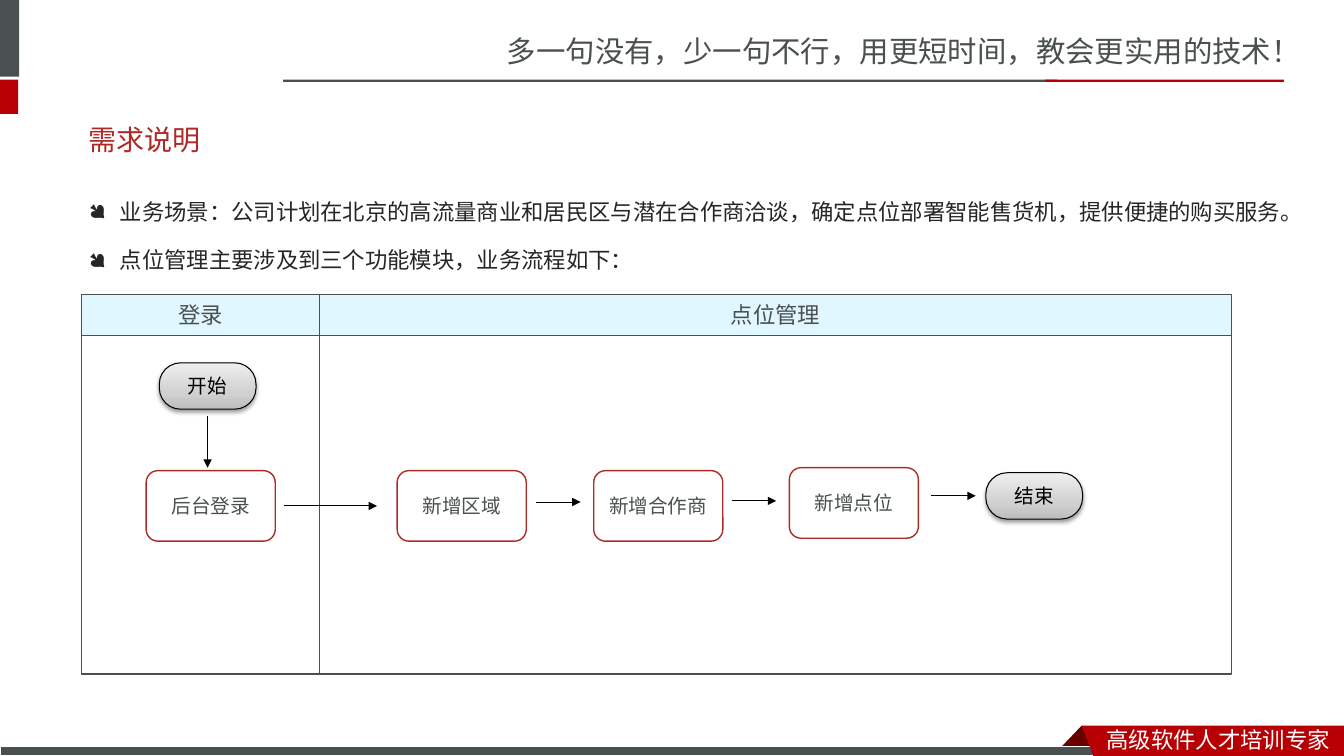
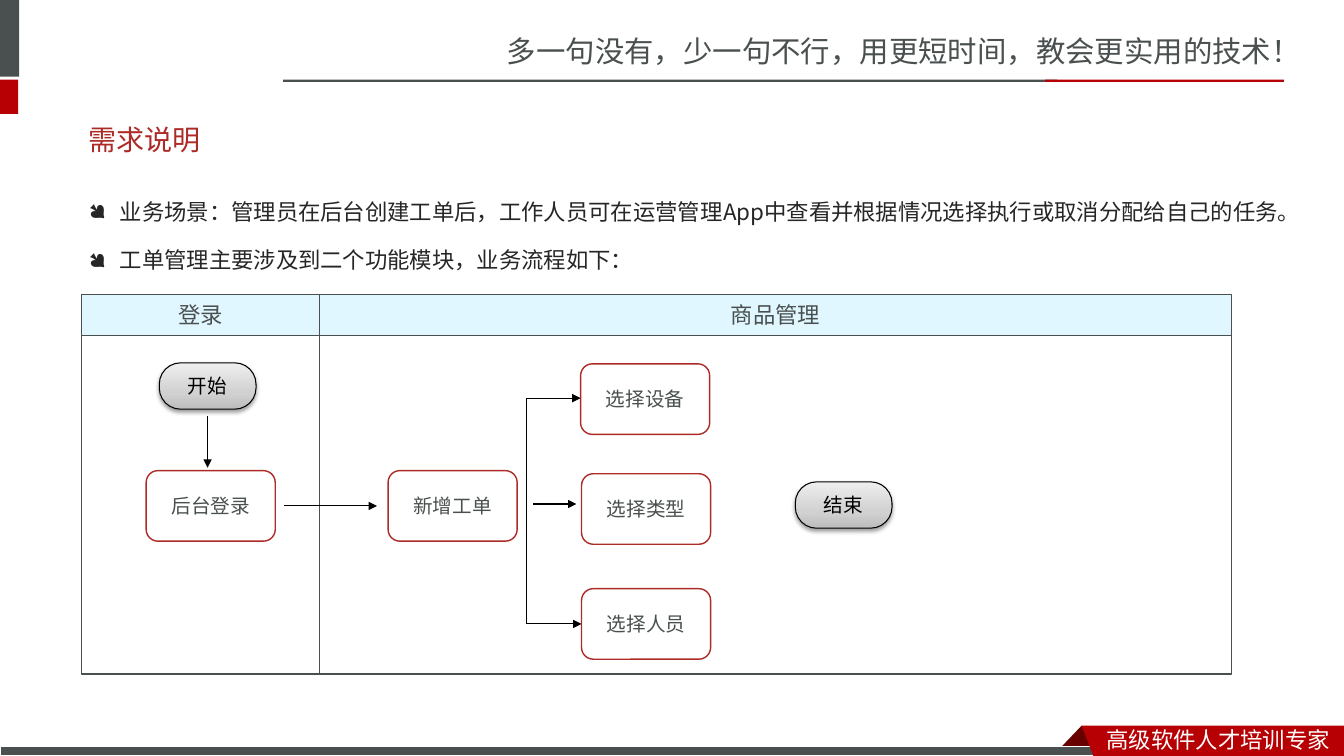
from typing import NamedTuple

from lxml import etree
from pptx import Presentation
from pptx.dml.color import RGBColor
from pptx.enum.shapes import MSO_CONNECTOR, MSO_SHAPE
from pptx.enum.text import MSO_ANCHOR, MSO_AUTO_SIZE, PP_ALIGN
from pptx.oxml.ns import qn
from pptx.util import Pt
from copy import deepcopy

RECT, ROUND = MSO_SHAPE.RECTANGLE, MSO_SHAPE.ROUNDED_RECTANGLE
LINE = MSO_CONNECTOR.STRAIGHT
TOP, MIDDLE = MSO_ANCHOR.TOP, MSO_ANCHOR.MIDDLE
LEFT, CENTER, JUSTIFY = PP_ALIGN.LEFT, PP_ALIGN.CENTER, PP_ALIGN.JUSTIFY

COLORS = {
    "gray": "49504F", "red": "B60004", "dark": "680000", "title": "AD2A26",
    "edge": "AD2B26", "body": "262626", "head": "E1F7FF", "white": "FFFFFF",
    "black": "000000", "low": "BDBDBD", "mid": "D1D1D1", "high": "EEEEEE",
}
BRAND_FONT = "Noto Sans CJK SC"
FONT = "Noto Sans CJK JP"
SLOGAN = "多一句没有，少一句不行，用更短时间，教会更实用的技术！"
MOTTO = "高级软件人才培训专家"

STEP_W, STEP_H = 92.2, 50.4
CAP_W, CAP_H = 69.1, 33.1
LANE_TOP, HEAD_H, LANE_H = 210.2, 29.5, 241.9


class Box(NamedTuple):
    x: float
    y: float
    w: float
    h: float


class Bar(NamedTuple):
    box: Box
    color: str


class Node(NamedTuple):
    text: str
    x: float
    y: float


class Link(NamedTuple):
    x1: float
    y1: float
    x2: float
    y2: float
    arrow: bool = True


class Page(NamedTuple):
    points: list[str]
    lane: str
    steps: list[Node]
    end: Node
    links: list[Link]


BARS = [
    Bar(Box(0, 0, 13.7, 54.7), "gray"),
    Bar(Box(0, 56.9, 13, 24.5), "red"),
    Bar(Box(202.3, 56.9, 553, 1.6), "gray"),
    Bar(Box(746.6, 56.9, 170.6, 1.6), "red"),
]
FOLD = [(772.6, 518.4), (788.4, 535), (756.7, 535)]
RIBBON = [(772.6, 518.4), (960, 518.4), (960, 540), (781, 540)]

LOGIN = Node("后台登录", 104.4, 336.2)
START = Node("开始", 113.8, 259.2)
COMMON_LINKS = [Link(148.3, 297.4, 148.3, 334.1), Link(203, 361.4, 269.3, 361.4)]

FORK = 375.8
PAGES = [
    Page(
        ["业务场景：公司计划在北京的高流量商业和居民区与潜在合作商洽谈，确定点位部署智能售货机，提供便捷的购买服务。",
         "点位管理主要涉及到三个功能模块，业务流程如下："],
        "点位管理",
        [Node("新增区域", 283.7, 336.2), Node("新增合作商", 424.1, 336.2),
         Node("新增点位", 563.8, 334.1)],
        Node("结束", 704.2, 337.7),
        [Link(383, 358.6, 414.7, 358.6), Link(522.7, 357.8, 554.4, 357.8),
         Link(665.3, 354.2, 697, 354.2)],
    ),
    Page(
        ["业务场景：管理员在后台创建工单后，工作人员可在运营管理App中查看并根据情况选择执行或取消分配给自己的任务。",
         "工单管理主要涉及到二个功能模块，业务流程如下："],
        "商品管理",
        [Node("新增工单", 277.2, 336.2), Node("选择设备", 414.7, 259.9),
         Node("选择类型", 415.4, 338.4), Node("选择人员", 415.4, 420.5)],
        Node("结束", 568.1, 344.2),
        [Link(380.9, 360, 411.8, 360), Link(FORK, 284.4, FORK, 445.7, False),
         Link(FORK, 284.4, 414.7, 284.4), Link(FORK, 445.7, 415.4, 445.7)],
    ),
]


def rgb(name: str) -> RGBColor:
    return RGBColor.from_string(COLORS[name])


def place(box: Box) -> list:
    return [Pt(v) for v in box]


def style(run, size: float, color: str, font: str) -> None:
    run.font.size = Pt(size)
    run.font.color.rgb = rgb(color)
    run.font.name = font
    etree.SubElement(run.font._element, qn("a:ea"), typeface=font)


def write(shape, text: str, size: float, color: str, align=CENTER,
          anchor=MIDDLE, font: str = FONT) -> None:
    frame = shape.text_frame
    frame.text = text
    frame.word_wrap = True
    frame.vertical_anchor = anchor
    for para in frame.paragraphs:
        para.alignment = align
        for run in para.runs:
            style(run, size, color, font)


def paint(shape, fill: str | None, line: str | None = None, width: float = 1) -> None:
    """Set fill and outline, and take the theme shadow away."""
    shape.shadow.inherit = False
    if fill:
        shape.fill.solid()
        shape.fill.fore_color.rgb = rgb(fill)
    else:
        shape.fill.background()
    if line:
        shape.line.color.rgb = rgb(line)
        shape.line.width = Pt(width)
    else:
        shape.line.fill.background()


def add_box(slide, box: Box, fill: str | None, line: str | None = None,
            width: float = 1, kind=RECT):
    shape = slide.shapes.add_shape(kind, *place(box))
    paint(shape, fill, line, width)
    return shape


def add_text(slide, box: Box, text: str, size: float, color: str, **look):
    shape = slide.shapes.add_textbox(*place(box))
    write(shape, text, size, color, anchor=TOP, **look)
    return shape


def add_poly(slide, spots: list[tuple[float, float]], fill: str) -> None:
    first, *rest = [(Pt(x), Pt(y)) for x, y in spots]
    form = slide.shapes.build_freeform(*first)
    form.add_line_segments(rest, close=True)
    paint(form.convert_to_shape(), fill)


def add_frame(slide) -> None:
    """Draw the slogan, side bars, rules and footer ribbon."""
    add_text(slide, Box(355, 20.2, 605, 33.8), SLOGAN, 21, "gray",
             align=LEFT, font=BRAND_FONT)
    for bar in BARS:
        add_box(slide, bar.box, bar.color)
    add_poly(slide, FOLD, "dark")
    add_box(slide, Box(0, 533.5, 791.3, 6.5), "gray", "white", 0.75)
    add_poly(slide, RIBBON, "red")
    add_text(slide, Box(783.4, 514.8, 176.6, 26.6), MOTTO, 16, "white",
             align=LEFT, font=BRAND_FONT)


def add_title(slide, text: str) -> None:
    title = slide.shapes.title
    title.left, title.top, title.width, title.height = place(Box(56.2, 79.2, 842.4, 41))
    write(title, text, 20, "title", align=LEFT)
    title.text_frame.auto_size = MSO_AUTO_SIZE.NONE


def add_points(slide, points: list[str]) -> None:
    shape = add_text(slide, Box(56.2, 128.2, 893.5, 80), "\n".join(points),
                     16, "body", align=JUSTIFY)
    for i, para in enumerate(shape.text_frame.paragraphs):
        props = para._p.get_or_add_pPr()
        props.set("marL", str(Pt(22.3)))
        props.set("indent", str(-Pt(22.3)))
        etree.SubElement(props, qn("a:buFont"), typeface="Wingdings")
        etree.SubElement(props, qn("a:buChar"), char="●")
        para.line_spacing = 1.5
        para.space_before = Pt(6 if i else 0)


def add_lane(slide, x: float, width: float, name: str) -> None:
    head = add_box(slide, Box(x, LANE_TOP, width, HEAD_H), "head", "gray")
    write(head, name, 16, "gray")
    add_box(slide, Box(x, LANE_TOP + HEAD_H, width, LANE_H), None, "gray")


def add_step(slide, node: Node) -> None:
    shape = add_box(slide, Box(node.x, node.y, STEP_W, STEP_H), "white", "edge",
                    kind=ROUND)
    write(shape, node.text, 14, "gray")
    shape.text_frame.margin_left = shape.text_frame.margin_right = 0


def add_cap(slide, node: Node) -> None:
    """Draw a shaded start or end node."""
    shape = add_box(slide, Box(node.x, node.y, CAP_W, CAP_H), "mid", "black", 0.75, ROUND)
    shape.adjustments[0] = 0.46
    shape.fill.gradient()
    shape.fill.gradient_angle = 90
    stops = next(shape.element.iter(qn("a:gsLst")))
    stops.insert(1, deepcopy(stops[0]))
    shades = [(0, "low"), (0.35, "mid"), (1, "high")]
    for stop, (spot, color) in zip(shape.fill.gradient_stops, shades):
        stop.position = spot
        stop.color.rgb = rgb(color)
    effects = shape.element.spPr.find(qn("a:effectLst"))
    shade = etree.SubElement(effects, qn("a:outerShdw"), blurRad=str(Pt(3.1)),
                             dist=str(Pt(1.6)), dir="5400000", rotWithShape="0")
    tint = etree.SubElement(shade, qn("a:srgbClr"), val=COLORS["black"])
    etree.SubElement(tint, qn("a:alpha"), val="38000")
    write(shape, node.text, 14, "black")


def add_link(slide, link: Link) -> None:
    ends = [Pt(v) for v in (link.x1, link.y1, link.x2, link.y2)]
    line = slide.shapes.add_connector(LINE, *ends)
    line.line.color.rgb = rgb("black")
    line.line.width = Pt(0.75)
    if link.arrow:
        etree.SubElement(line.line._get_or_add_ln(), qn("a:tailEnd"), type="triangle")
    etree.SubElement(line._element.spPr, qn("a:effectLst"))


def add_page(deck, page: Page) -> None:
    slide = deck.slides.add_slide(deck.slide_layouts.get_by_name("Title Only"))
    add_frame(slide)
    add_title(slide, "需求说明")
    add_points(slide, page.points)
    add_lane(slide, 58.3, 169.9, "登录")
    add_lane(slide, 228.2, 651.6, page.lane)
    for node in [LOGIN, *page.steps]:
        add_step(slide, node)
    for node in (START, page.end):
        add_cap(slide, node)
    for link in COMMON_LINKS + page.links:
        add_link(slide, link)


def main() -> None:
    deck = Presentation()
    deck.slide_width, deck.slide_height = Pt(960), Pt(540)
    for page in PAGES:
        add_page(deck, page)
    deck.save("out.pptx")


if __name__ == "__main__":
    main()
